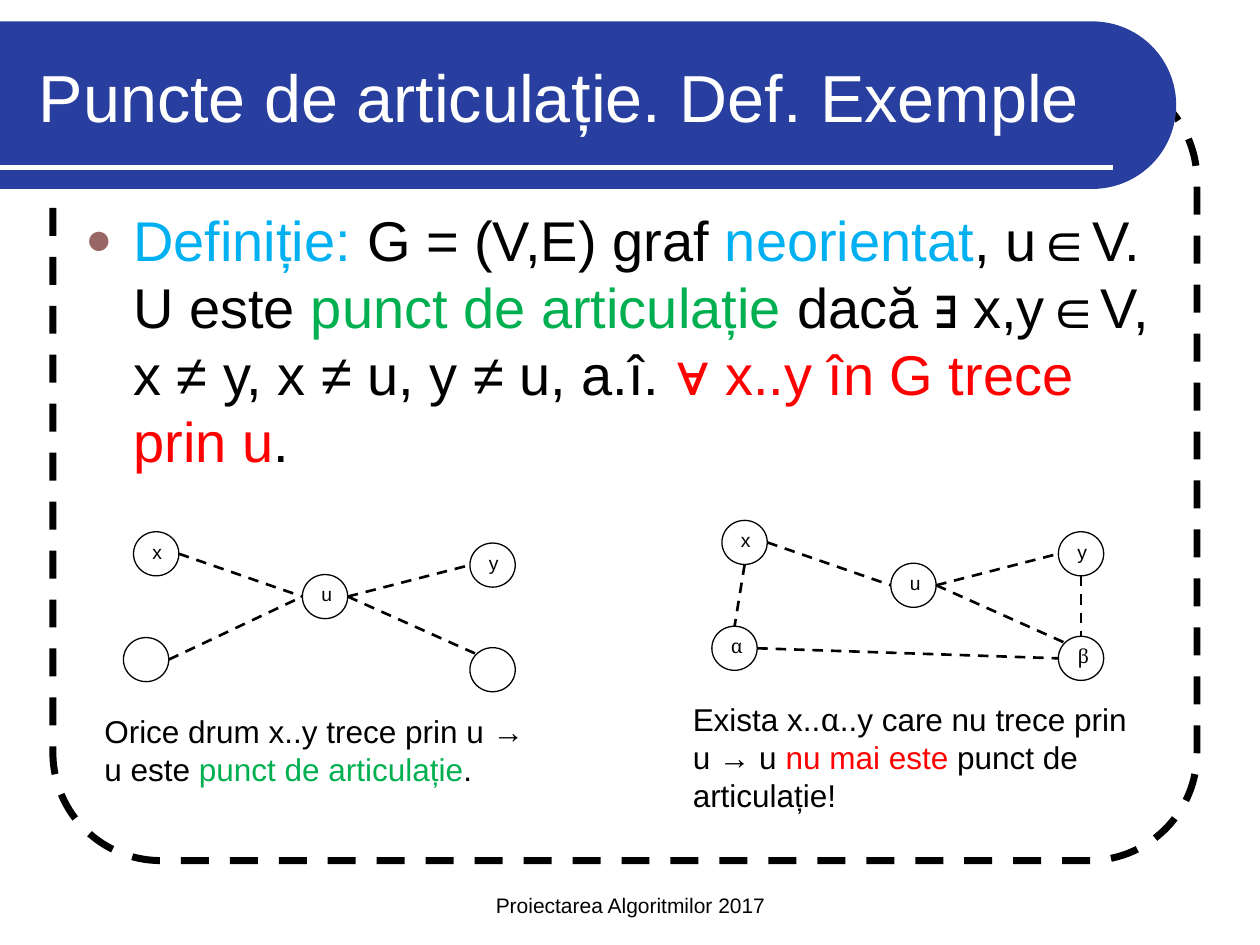
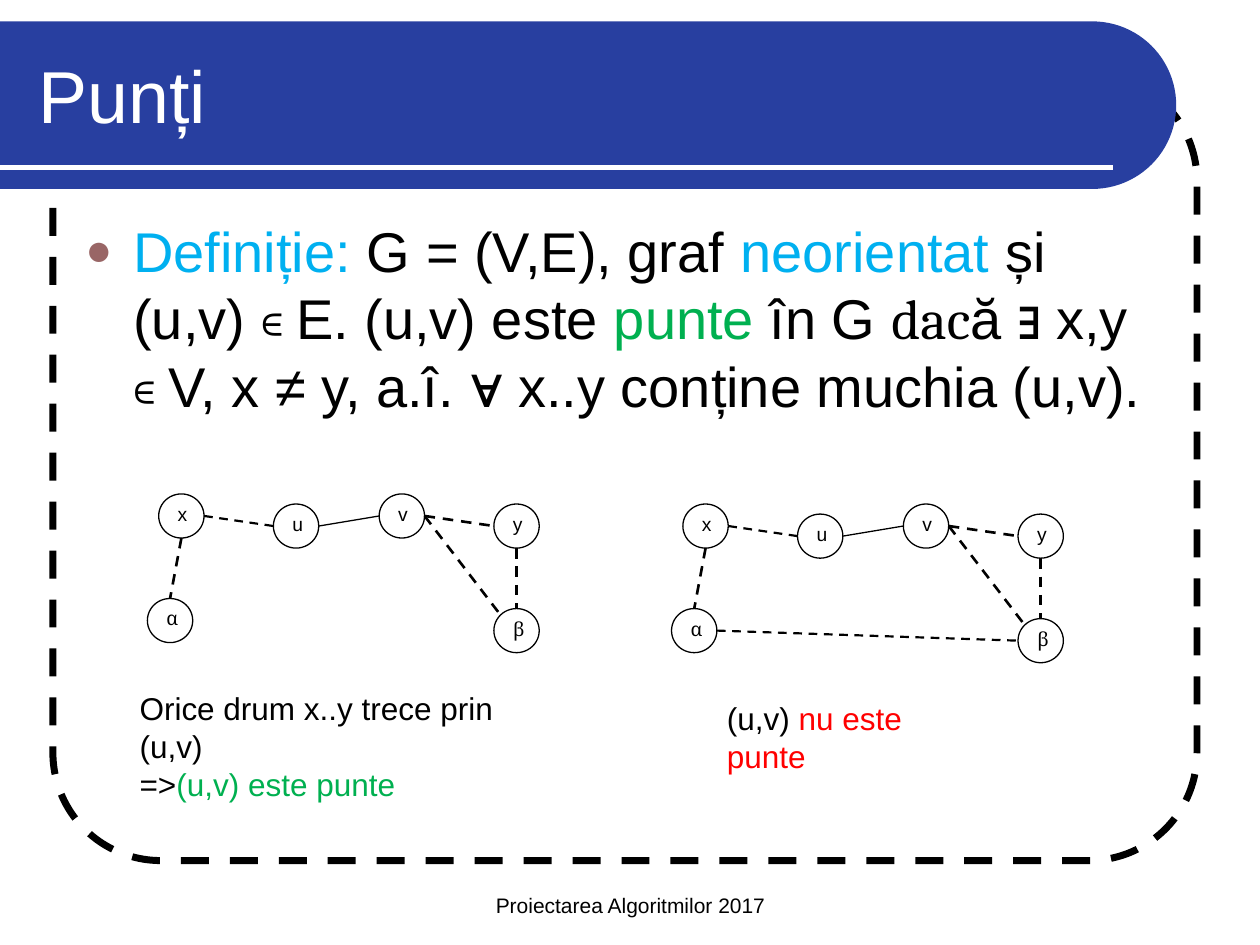
from dataclasses import dataclass
from math import cos, pi, sin

from lxml import etree
from pptx import Presentation
from pptx.dml.color import RGBColor
from pptx.enum import dml, shapes, text
from pptx.oxml.ns import qn
from pptx.util import Inches, Pt

BLACK = RGBColor(0x00, 0x00, 0x00)
WHITE = RGBColor(0xFF, 0xFF, 0xFF)
BAND_BLUE = RGBColor(0x28, 0x3F, 0xA0)
TERM_BLUE = RGBColor(0x00, 0xB0, 0xF0)
GREEN = RGBColor(0x00, 0xB0, 0x50)
RED = RGBColor(0xFF, 0x00, 0x00)
BULLET_COLOR = "996666"
SANS, SERIF = "Arial", "Cambria"
NODE_W, NODE_H = 0.36, 0.35

# Attachment points on a node, as fractions of its width and height
TOP, BOTTOM, LEFT, RIGHT = (0.5, 0), (0.5, 1), (0, 0.5), (1, 0.5)
TOP_LEFT = (0.15, 0.15)


@dataclass(frozen=True)
class Span:
    words: str
    color: RGBColor = BLACK
    font: str = SANS
    size: float | None = None


@dataclass(frozen=True)
class Box:
    left: float
    top: float
    width: float
    height: float

    def lengths(self) -> list:
        return [Inches(v) for v in (self.left, self.top, self.width, self.height)]


@dataclass(frozen=True)
class Node:
    x: float
    y: float
    label: str = ""


@dataclass(frozen=True)
class Edge:
    start: str
    start_side: tuple
    end: str
    end_side: tuple
    weight: float = 1.5
    dashed: bool = True


def write_spans(paragraph, spans: list[Span], size: float) -> None:
    for span in spans:
        run = paragraph.add_run()
        run.text = span.words
        run.font.name = span.font
        run.font.size = Pt(span.size or size)
        run.font.color.rgb = span.color


def add_text(slide, box: Box, lines: list[list[Span]], size: float,
             anchor=text.MSO_ANCHOR.TOP, wrap: bool = True):
    frame = slide.shapes.add_textbox(*box.lengths()).text_frame
    frame.word_wrap = wrap
    frame.vertical_anchor = anchor
    for i, spans in enumerate(lines):
        paragraph = frame.add_paragraph() if i else frame.paragraphs[0]
        write_spans(paragraph, spans, size)
    return frame


def add_line(slide, start: tuple, end: tuple, color: RGBColor,
             weight: float, dashed: bool = False) -> None:
    line = slide.shapes.add_connector(
        shapes.MSO_CONNECTOR.STRAIGHT, *(Inches(v) for v in start + end))
    line.line.color.rgb = color
    line.line.width = Pt(weight)
    if dashed:
        line.line.dash_style = dml.MSO_LINE.DASH
    etree.SubElement(line._element.spPr, qn("a:effectLst"))


def add_definition(slide, box: Box, spans: list[Span]) -> None:
    paragraph = add_text(slide, box, [spans], 32).paragraphs[0]
    paragraph.space_before = Pt(8)
    props = paragraph._p.get_or_add_pPr()
    props.set("marL", str(Inches(0.38)))
    props.set("indent", str(Inches(-0.38)))
    bullet_color = etree.SubElement(props, qn("a:buClr"))
    etree.SubElement(bullet_color, qn("a:srgbClr"), val=BULLET_COLOR)
    etree.SubElement(props, qn("a:buSzPct"), val="80000")
    etree.SubElement(props, qn("a:buFont"), typeface=SANS)
    etree.SubElement(props, qn("a:buChar"), char="●")


def add_graph(slide, nodes: dict[str, Node], edges: list[Edge],
              dx: float = 0, dy: float = 0) -> None:
    def point(name: str, side: tuple) -> tuple:
        node = nodes[name]
        return node.x + dx + side[0] * NODE_W, node.y + dy + side[1] * NODE_H

    for node in nodes.values():
        box = Box(node.x + dx, node.y + dy, NODE_W, NODE_H)
        circle = slide.shapes.add_shape(shapes.MSO_SHAPE.OVAL, *box.lengths())
        circle.shadow.inherit = False
        circle.fill.solid()
        circle.fill.fore_color.rgb = WHITE
        circle.line.color.rgb = BLACK
        circle.line.width = Pt(0.75)
        if node.label:
            circle.text_frame.vertical_anchor = text.MSO_ANCHOR.TOP
            paragraph = circle.text_frame.paragraphs[0]
            paragraph.alignment = text.PP_ALIGN.LEFT
            paragraph.line_spacing = 0.8
            font = SERIF if node.label in "αβ" else SANS
            write_spans(paragraph, [Span(node.label, font=font)], 11)
    for edge in edges:
        add_line(slide, point(edge.start, edge.start_side),
                 point(edge.end, edge.end_side), BLACK, edge.weight, edge.dashed)


def add_base(deck, title: list[Span], title_size: float):
    """Add a slide with the shared frame, title band, footer and title."""
    slide = deck.slides.add_slide(deck.slide_layouts[6])

    # Dashed frame
    frame = slide.shapes.add_shape(
        shapes.MSO_SHAPE.ROUNDED_RECTANGLE, *Box(0.42, 0.58, 9.08, 6.25).lengths())
    frame.adjustments[0] = 0.137
    frame.shadow.inherit = False
    frame.fill.background()
    frame.line.color.rgb = BLACK
    frame.line.width = Pt(4)
    frame.line.dash_style = dml.MSO_LINE.DASH

    # Title band with a half-round right end
    radius, center_x, center_y, steps = 0.665, 8.67, 0.835, 48
    angles = [pi * i / steps - pi / 2 for i in range(steps + 1)]
    arc = [(Inches(center_x + radius * cos(a)), Inches(center_y + radius * sin(a)))
           for a in angles]
    builder = slide.shapes.build_freeform(0, Inches(center_y - radius))
    builder.add_line_segments(arc + [(0, Inches(center_y + radius))], close=True)
    band = builder.convert_to_shape()
    band.shadow.inherit = False
    band.fill.solid()
    band.fill.fore_color.rgb = BAND_BLUE
    band.line.fill.background()
    add_line(slide, (0, 1.33), (8.83, 1.33), WHITE, 3)

    # Footer and title
    footer = add_text(slide, Box(3.42, 6.83, 3.17, 0.5),
                      [[Span("Proiectarea Algoritmilor 2017")]], 12,
                      text.MSO_ANCHOR.BOTTOM)
    footer.paragraphs[0].alignment = text.PP_ALIGN.CENTER
    add_text(slide, Box(0.21, 0.25, 8.77, 1), [title], title_size,
             text.MSO_ANCHOR.MIDDLE)
    return slide


def build_articulation_points(deck) -> None:
    slide = add_base(deck, [
        Span("Puncte de articula", WHITE), Span("ț", WHITE, size=40),
        Span("ie. Def. Exemple", WHITE)], 38)
    add_definition(slide, Box(0.58, 1.58, 8.67, 2.32), [
        Span("Definiție: ", TERM_BLUE), Span("G = (V,E) graf "),
        Span("neorientat", TERM_BLUE), Span(", u∈V. U este "),
        Span("punct de articulație ", GREEN),
        Span("dacă ∃ x,y∈V, x ≠ y, x ≠ u, y ≠ u, a.î. "),
        Span("∀ x..y în G trece prin u", RED), Span(".")])

    # Both graphs share node places and the edges around u
    upper = {"x": Node(1.06, 4.22, "x"), "y": Node(3.73, 4.31, "y"),
             "u": Node(2.4, 4.56, "u")}
    around_u = [Edge("x", RIGHT, "u", LEFT), Edge("u", RIGHT, "y", LEFT),
                Edge("u", RIGHT, "β", TOP_LEFT)]
    add_graph(slide, upper | {"β": Node(3.73, 5.14), "α": Node(0.98, 5.06)},
              around_u + [Edge("α", RIGHT, "u", LEFT)])
    add_graph(slide,
              upper | {"β": Node(3.73, 5.14, "β"), "α": Node(0.98, 5.06, "α")},
              around_u + [Edge("x", BOTTOM, "α", TOP), Edge("α", RIGHT, "β", LEFT),
                          Edge("y", BOTTOM, "β", TOP)],
              dx=4.67, dy=-0.09)

    # Conclusions
    add_text(slide, Box(0.73, 5.6, 3.67, 0.7), [[
        Span("Orice drum x..y trece prin u → u este "),
        Span("punct de articulație", GREEN), Span(".")]], 18)
    add_text(slide, Box(5.4, 5.51, 3.67, 1), [[
        Span("Exista x.."), Span("α", font=SERIF),
        Span("..y care nu trece prin u → u "), Span("nu mai este ", RED),
        Span("punct de articulație!")]], 18)


def build_bridges(deck) -> None:
    slide = add_base(deck, [Span("Punți", WHITE)], 42)
    add_definition(slide, Box(0.58, 1.67, 8.67, 4.83), [
        Span("Definiție:", TERM_BLUE), Span(" G = (V,E), graf "),
        Span("neorientat", TERM_BLUE), Span(" și (u,v) "),
        Span("∊ ", font=SERIF), Span("E. (u,v) este "), Span("punte", GREEN),
        Span(" în G "), Span("dac", font=SERIF), Span("ă ∃ x,y "),
        Span("∊ ", font=SERIF),
        Span("V, x ≠ y, a.î. ∀ x..y conține muchia (u,v).")])

    # The second graph adds the edge that closes the cycle
    nodes = {"x": Node(1.26, 3.92, "x"), "y": Node(3.92, 4, "y"),
             "v": Node(3.01, 3.92, "v"), "β": Node(3.92, 4.83, "β"),
             "α": Node(1.17, 4.75, "α"), "u": Node(2.17, 4, "u")}
    edges = [Edge("v", RIGHT, "y", LEFT), Edge("v", RIGHT, "β", TOP_LEFT),
             Edge("x", BOTTOM, "α", TOP), Edge("y", BOTTOM, "β", TOP),
             Edge("x", RIGHT, "u", LEFT, 1.25),
             Edge("u", RIGHT, "v", LEFT, 0.75, dashed=False)]
    add_graph(slide, nodes, edges)
    add_graph(slide, nodes, edges + [Edge("α", RIGHT, "β", LEFT, 1.25)],
              dx=4.16, dy=0.08)

    # Conclusions
    add_text(slide, Box(1.01, 5.42, 3.57, 0.7), [
        [Span("Orice drum x..y trece prin (u,v)")],
        [Span("=>"), Span("(u,v) este punte", GREEN)]], 18, wrap=False)
    add_text(slide, Box(5.67, 5.5, 2.28, 0.4),
             [[Span("(u,v) "), Span("nu este punte", RED)]], 18, wrap=False)


def main() -> None:
    deck = Presentation()
    deck.slide_width, deck.slide_height = Inches(10), Inches(7.5)
    build_articulation_points(deck)
    build_bridges(deck)
    deck.save("out.pptx")


if __name__ == "__main__":
    main()
